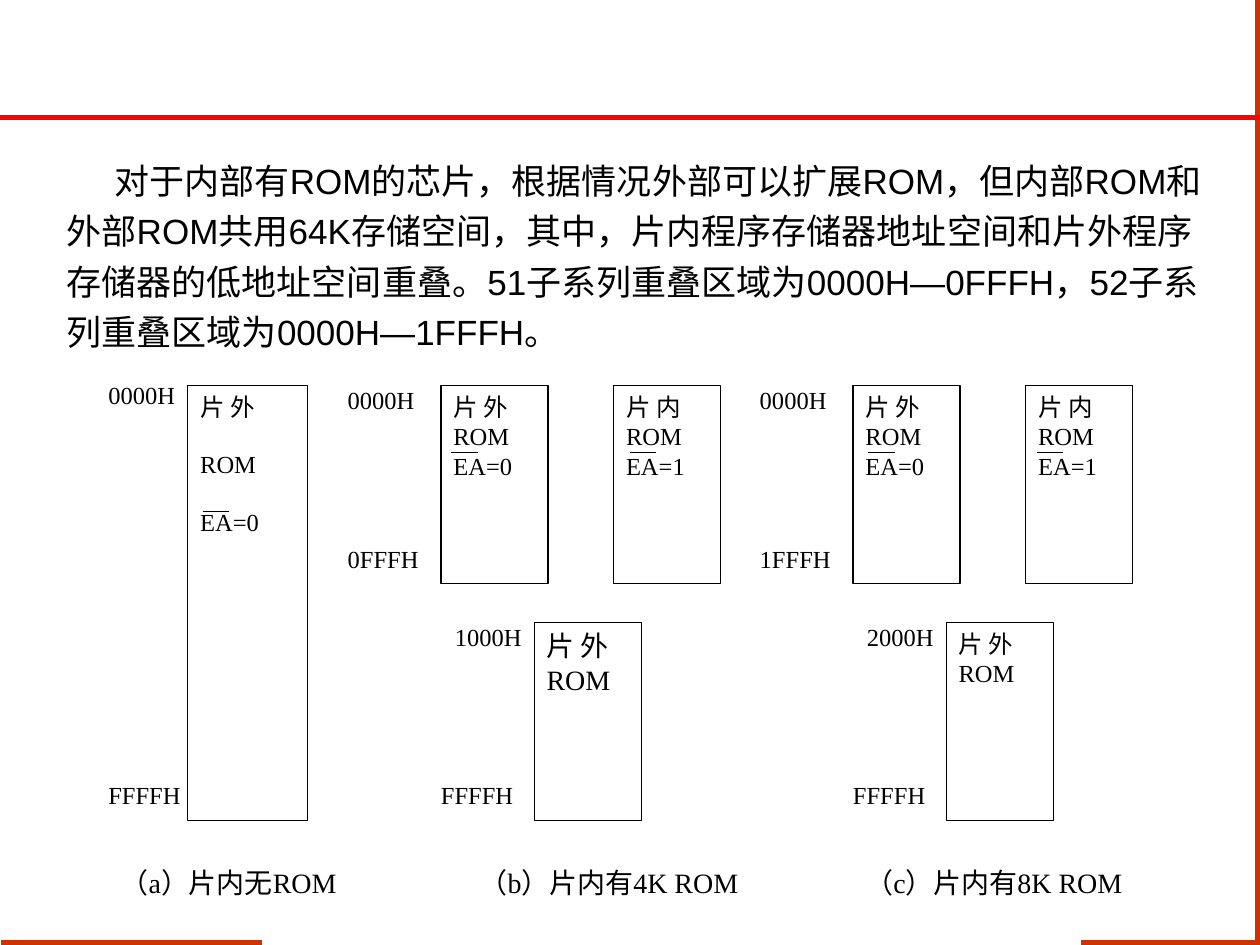
from pptx import Presentation
from pptx.dml.color import RGBColor
from pptx.enum.shapes import MSO_CONNECTOR, MSO_SHAPE
from pptx.enum.text import MSO_ANCHOR, PP_ALIGN
from pptx.oxml.ns import qn
from pptx.util import Inches, Pt
from lxml import etree

RECT = MSO_SHAPE.RECTANGLE
LINE = MSO_CONNECTOR.STRAIGHT
TOP = MSO_ANCHOR.TOP
JUST = PP_ALIGN.JUSTIFY
LEFT = PP_ALIGN.LEFT
BLACK = RGBColor(0x00, 0x00, 0x00)
WHITE = RGBColor(0xFF, 0xFF, 0xFF)
RED = RGBColor(0xFF, 0x00, 0x00)
RUST = RGBColor(0xCC, 0x33, 0x00)
SERIF = "Times New Roman"
SANS = "Arial"


class Board:
    def __init__(self, slide):
        self.slide = slide
        self.shapes = slide.shapes

    def fill(self, frame, lines, size, font=SERIF, align=JUST, pad=True, gap=0):
        frame.word_wrap = True
        frame.vertical_anchor = TOP
        frame.margin_left = frame.margin_right = Inches(0.1 if pad else 0)
        frame.margin_top = frame.margin_bottom = Inches(0.05 if pad else 0)
        for i, line in enumerate(lines):
            para = frame.add_paragraph() if i else frame.paragraphs[0]
            para.alignment = align
            if i and gap:
                para.space_before = Pt(gap)
            run = para.add_run()
            run.text = line
            run.font.name = font
            run.font.size = Pt(size)
            run.font.color.rgb = BLACK

    def text(self, x, y, w, h, line, size, **style):
        box = self.shapes.add_textbox(Inches(x), Inches(y), Inches(w), Inches(h))
        self.fill(box.text_frame, [line], size, **style)
        return box.text_frame.paragraphs[0]

    def label(self, x, y, line):
        self.text(x, y, 0.63, 0.23, line, 14, pad=False)

    def block(self, x, y, w, h, lines, size=14, gap=0):
        box = self.shapes.add_shape(RECT, Inches(x), Inches(y), Inches(w), Inches(h))
        box.shadow.inherit = False
        box.fill.solid()
        box.fill.fore_color.rgb = WHITE
        box.line.color.rgb = BLACK
        box.line.width = Pt(0.75)
        self.fill(box.text_frame, lines, size, gap=gap)

    def line(self, x1, y1, x2, y2, color=BLACK, width=0.75):
        line = self.shapes.add_connector(
            LINE, Inches(x1), Inches(y1), Inches(x2), Inches(y2))
        line.line.color.rgb = color
        line.line.width = Pt(width)
        etree.SubElement(line._element.spPr, qn("a:effectLst"))

    def bar(self, x, y=3.59):
        self.line(x, y, x + 0.21, y)

    def panel(self, x, last, next_, bars, size):
        top, low, w, h = 3.06, 4.94, 0.85, 1.57
        self.block(x, top, w, h, ["片 外", "ROM", "EA=0"])
        self.block(x + 1.37, top, w, h, ["片 内", "ROM", "EA=1"])
        self.block(x + 0.74, low, w, h, ["片 外", "ROM"], size)
        self.label(x - 0.74, top, "0000H")
        self.label(x - 0.74, 4.32, last)
        self.label(x + 0.11, low, next_)
        self.label(x, 6.19, "FFFFH")
        for bar in bars:
            self.bar(bar)


def main():
    deck = Presentation()
    deck.slide_width, deck.slide_height = Inches(10), Inches(7.5)
    board = Board(deck.slides.add_slide(deck.slide_layouts[6]))

    board.line(2.08, 7.48, 0.01, 7.48, RUST, 3)
    board.line(9.98, 7.5, 9.98, 0, RUST, 3)
    board.line(9.96, 7.48, 8.58, 7.48, RUST, 3)
    board.line(10, 0.93, 0, 0.93, RED, 3)

    intro = board.text(
        0.43, 1.15, 9.21, 1.7,
        "对于内部有ROM的芯片，根据情况外部可以扩展ROM，但内部ROM和外部ROM共用64K存储空间，"
        "其中，片内程序存储器地址空间和片外程序存储器的低地址空间重叠。"
        "51子系列重叠区域为0000H—0FFFH，52子系列重叠区域为0000H—1FFFH。",
        20, font=SANS, align=LEFT)
    intro.line_spacing = 1.2
    props = intro._p.get_or_add_pPr()
    props.set("marL", "0")
    props.set("indent", str(Inches(0.38)))

    board.block(1.49, 3.06, 0.95, 3.45, ["片 外", "ROM", "EA=0"], gap=16)
    board.label(0.86, 3.02, "0000H")
    board.label(0.86, 6.19, "FFFFH")
    board.bar(1.61, 4.06)

    board.panel(3.5, "0FFFH", "1000H", (3.58, 5), 16)
    board.panel(6.77, "1FFFH", "2000H", (6.89, 8.23), 14)

    for x, w, line in (
        (0.86, 2.01, "（a）片内无ROM"),
        (3.71, 2.43, "（b）片内有4K ROM"),
        (6.77, 2.32, "（c）片内有8K ROM"),
    ):
        board.text(x, 6.82, w, 0.47, line, 16)

    deck.save("out.pptx")


if __name__ == "__main__":
    main()
